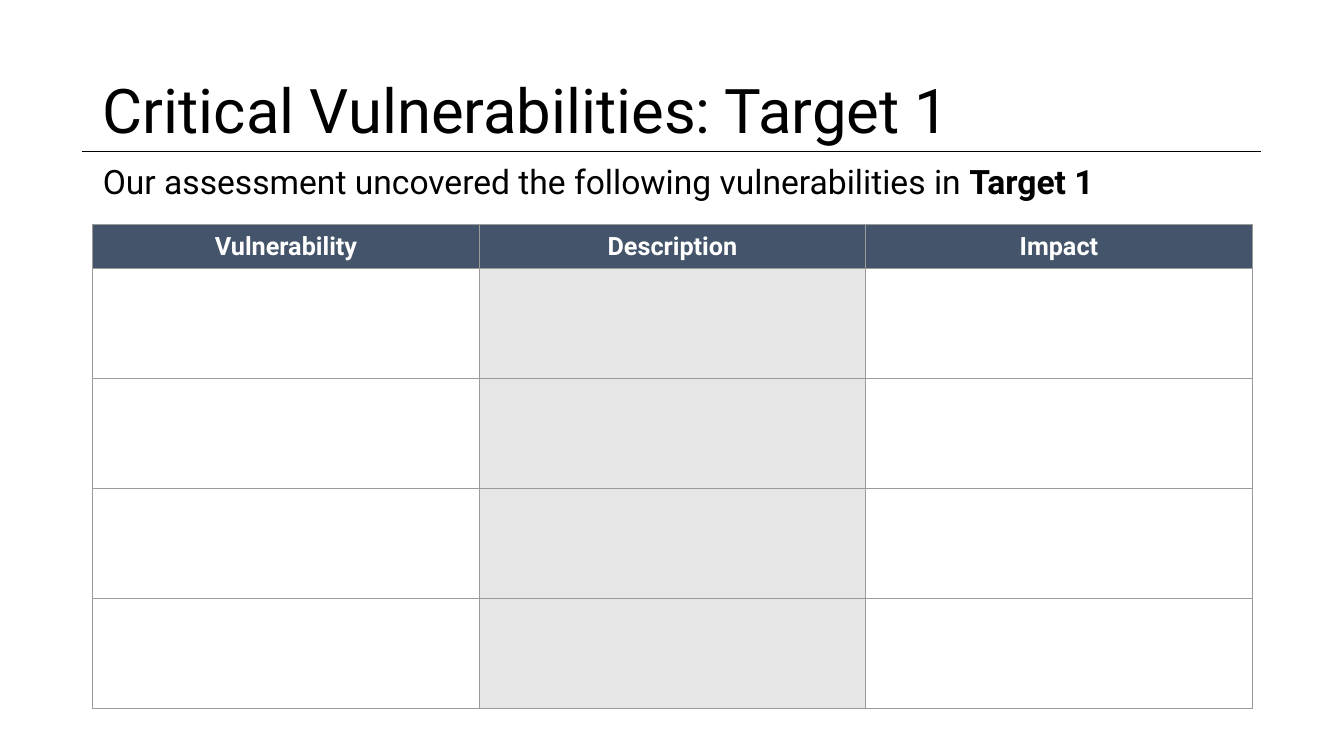
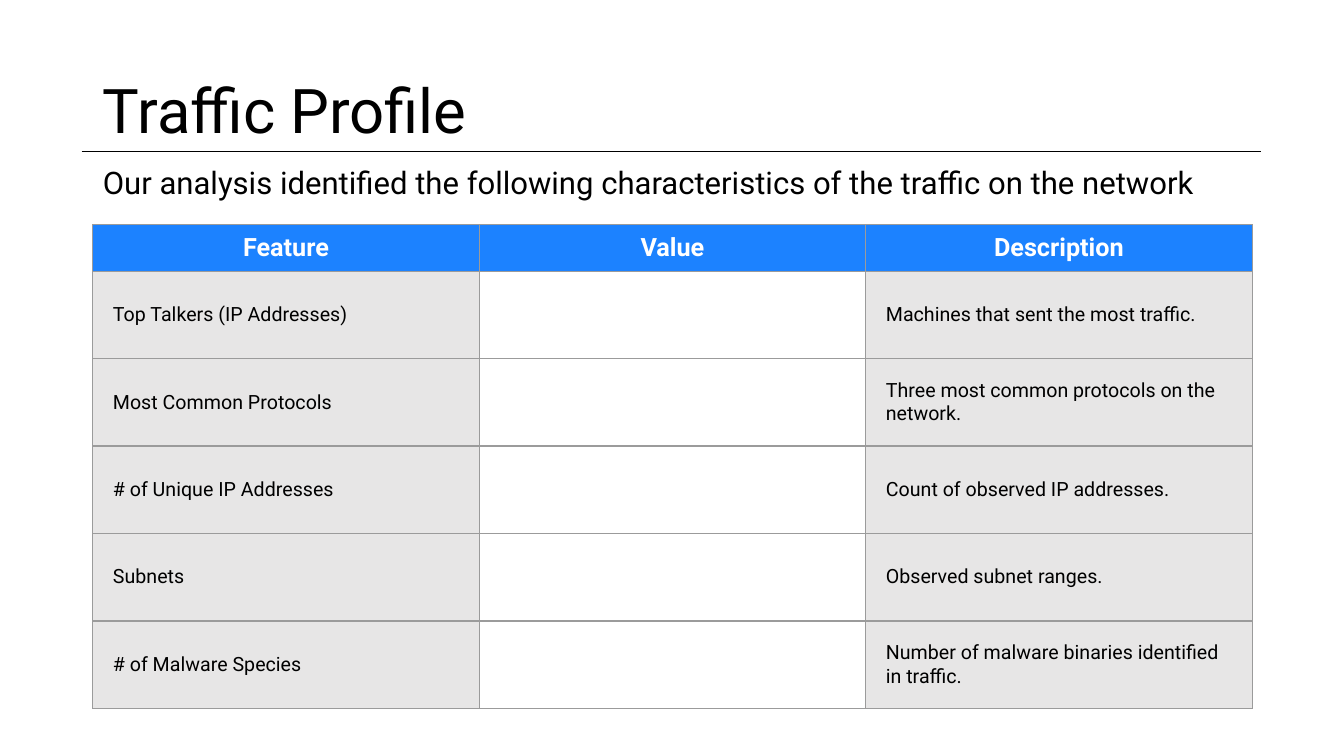
from dataclasses import dataclass

from lxml import etree
from pptx import Presentation
from pptx.dml.color import RGBColor
from pptx.enum.shapes import MSO_CONNECTOR
from pptx.enum.text import MSO_ANCHOR, MSO_AUTO_SIZE, PP_ALIGN
from pptx.oxml.ns import qn
from pptx.util import Inches, Pt

STRAIGHT = MSO_CONNECTOR.STRAIGHT
MIDDLE, BOTTOM = MSO_ANCHOR.MIDDLE, MSO_ANCHOR.BOTTOM
LEFT, CENTER = PP_ALIGN.LEFT, PP_ALIGN.CENTER
NO_FIT = MSO_AUTO_SIZE.NONE
TITLE_AND_CONTENT = 1


@dataclass(frozen=True)
class Theme:
    font: str = "Roboto"
    ink: str = "000000"
    paper: str = "FFFFFF"
    slate: str = "44546A"
    blue: str = "1C82FF"
    shade: str = "E7E6E6"
    grid: str = "9B9B9B"
    title_size: float = 44
    lead_size: float = 24
    small_lead_size: float = 22.2
    header_size: float = 18
    cell_size: float = 14


THEME = Theme()


def apply(target, values):
    for name, value in values.items():
        setattr(target, name, value)


class Report:
    left, width = 0.92, 11.5

    def __init__(self, theme):
        self.theme = theme
        self.deck = Presentation()
        apply(self.deck, {"slide_width": Inches(13.33), "slide_height": Inches(7.5)})
        self.page = None

    def add_page(self, title, lead, lead_size):
        layout = self.deck.slide_layouts[TITLE_AND_CONTENT]
        self.page = self.deck.slides.add_slide(layout)
        self.rule()
        self.placeholder(0, 0.4, 1.45, MIDDLE, [(title, False)], self.theme.title_size, 0)
        self.placeholder(1, 1.52, 0.53, BOTTOM, lead, lead_size, 10)

    def rule(self):
        line = self.page.shapes.add_connector(
            STRAIGHT, Inches(0.81), Inches(1.5), Inches(12.51), Inches(1.5))
        line.line.color.rgb = RGBColor.from_string(self.theme.ink)
        line.line.width = Pt(0.75)
        etree.SubElement(line._element.spPr, qn("a:effectLst"))

    def placeholder(self, index, top, height, anchor, spans, size, space_before):
        box = self.page.placeholders[index]
        apply(box, {"left": Inches(self.left), "top": Inches(top),
                    "width": Inches(self.width), "height": Inches(height)})
        apply(box.text_frame, {"word_wrap": True, "auto_size": NO_FIT,
                               "vertical_anchor": anchor})
        para = box.text_frame.paragraphs[0]
        apply(para, {"alignment": LEFT, "line_spacing": 0.9,
                     "space_before": Pt(space_before)})
        properties = para._p.get_or_add_pPr()
        properties.set("marL", "0")
        properties.set("indent", "0")
        etree.SubElement(properties, qn("a:buNone"))
        for text, bold in spans:
            self.span(para, text, size, self.theme.ink, bold)

    def span(self, para, text, size, color, bold=False):
        span = para.add_run()
        span.text = text
        apply(span.font, {"name": self.theme.font, "size": Pt(size), "bold": bold})
        span.font.color.rgb = RGBColor.from_string(color)

    def table(self, headers, rows, header_height, header_fill, shaded_columns):
        top, height = 2.23, 4.8
        frame = self.page.shapes.add_table(
            len(rows) + 1, len(headers), Inches(self.left), Inches(top),
            Inches(self.width), Inches(height))
        table = frame.table
        apply(table, {"first_row": False, "horz_banding": False})
        for column in table.columns:
            column.width = Inches(self.width / len(headers))
        for row in table.rows:
            row.height = Inches((height - header_height) / len(rows))
        table.rows[0].height = Inches(header_height)
        for column, text in enumerate(headers):
            self.cell(table.cell(0, column), text, header_fill, header=True)
        for number, texts in enumerate(rows, 1):
            for column, text in enumerate(texts):
                fill = self.theme.shade if column in shaded_columns else self.theme.paper
                self.cell(table.cell(number, column), text, fill)

    def cell(self, cell, text, fill, header=False):
        self.borders(cell)
        cell.fill.solid()
        cell.fill.fore_color.rgb = RGBColor.from_string(fill)
        cell.vertical_anchor = MIDDLE
        if not text:
            return
        para = cell.text_frame.paragraphs[0]
        if header:
            para.alignment = CENTER
            self.span(para, text, self.theme.header_size, self.theme.paper, True)
        else:
            sides = ("left", "right", "top", "bottom")
            apply(cell, {f"margin_{side}": Inches(0.2) for side in sides})
            self.span(para, text, self.theme.cell_size, self.theme.ink)

    def borders(self, cell):
        properties = cell._tc.get_or_add_tcPr()
        for side in ("lnL", "lnR", "lnT", "lnB"):
            border = etree.SubElement(properties, qn(f"a:{side}"), w=str(Pt(1)))
            fill = etree.SubElement(border, qn("a:solidFill"))
            etree.SubElement(fill, qn("a:srgbClr"), val=self.theme.grid)


def main():
    report = Report(THEME)

    report.add_page(
        "Critical Vulnerabilities: Target 1",
        [("Our assessment uncovered the following vulnerabilities in ", False),
         ("Target 1", True)],
        THEME.lead_size)
    report.table(("Vulnerability", "Description", "Impact"), [("", "", "")] * 4,
                 0.43, THEME.slate, {1})

    report.add_page(
        "Traffic Profile",
        [("Our analysis identified the following characteristics of the traffic "
          "on the network", False)],
        THEME.small_lead_size)
    features = [
        ("Top Talkers (IP Addresses)", "", "Machines that sent the most traffic."),
        ("Most Common Protocols", "", "Three most common protocols on the network."),
        ("# of Unique IP Addresses", "", "Count of observed IP addresses."),
        ("Subnets", "", "Observed subnet ranges."),
        ("# of Malware Species", "", "Number of malware binaries identified in traffic."),
    ]
    report.table(("Feature", "Value", "Description"), features,
                 0.46, THEME.blue, {0, 2})

    report.deck.save("out.pptx")


if __name__ == "__main__":
    main()
